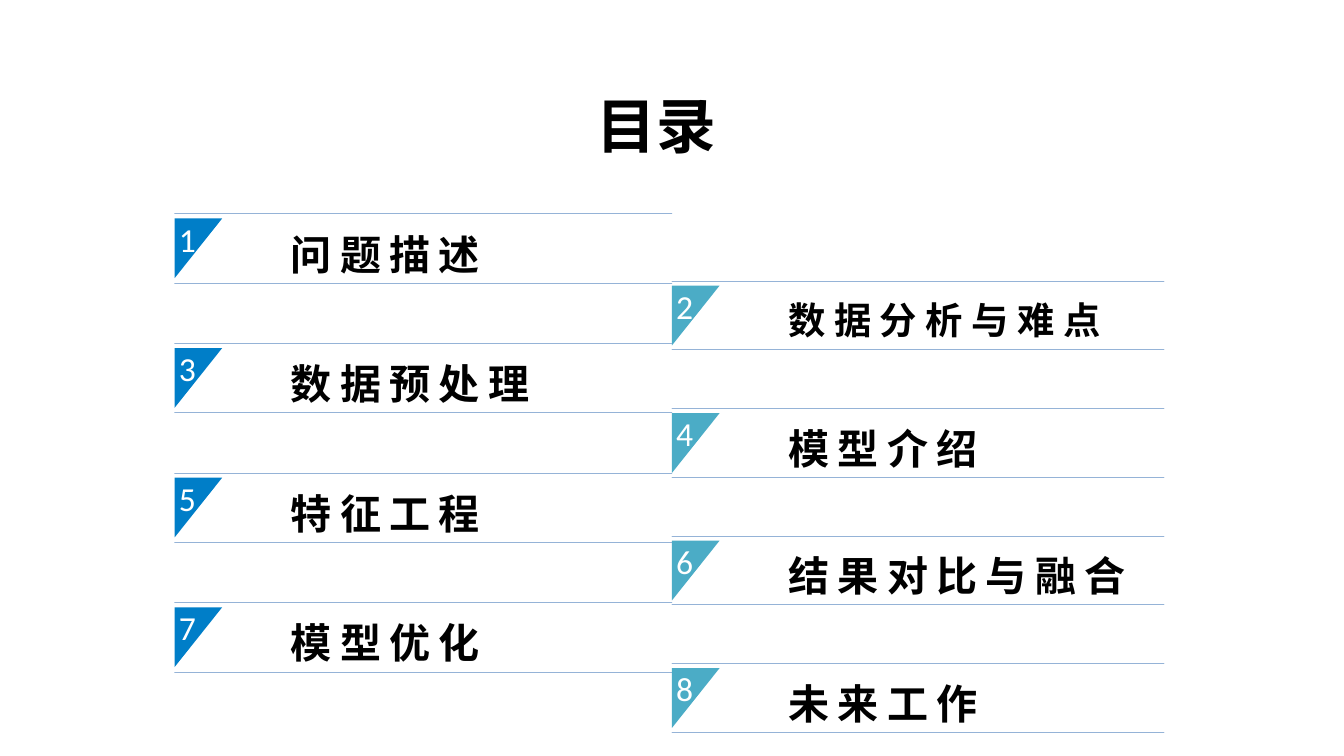
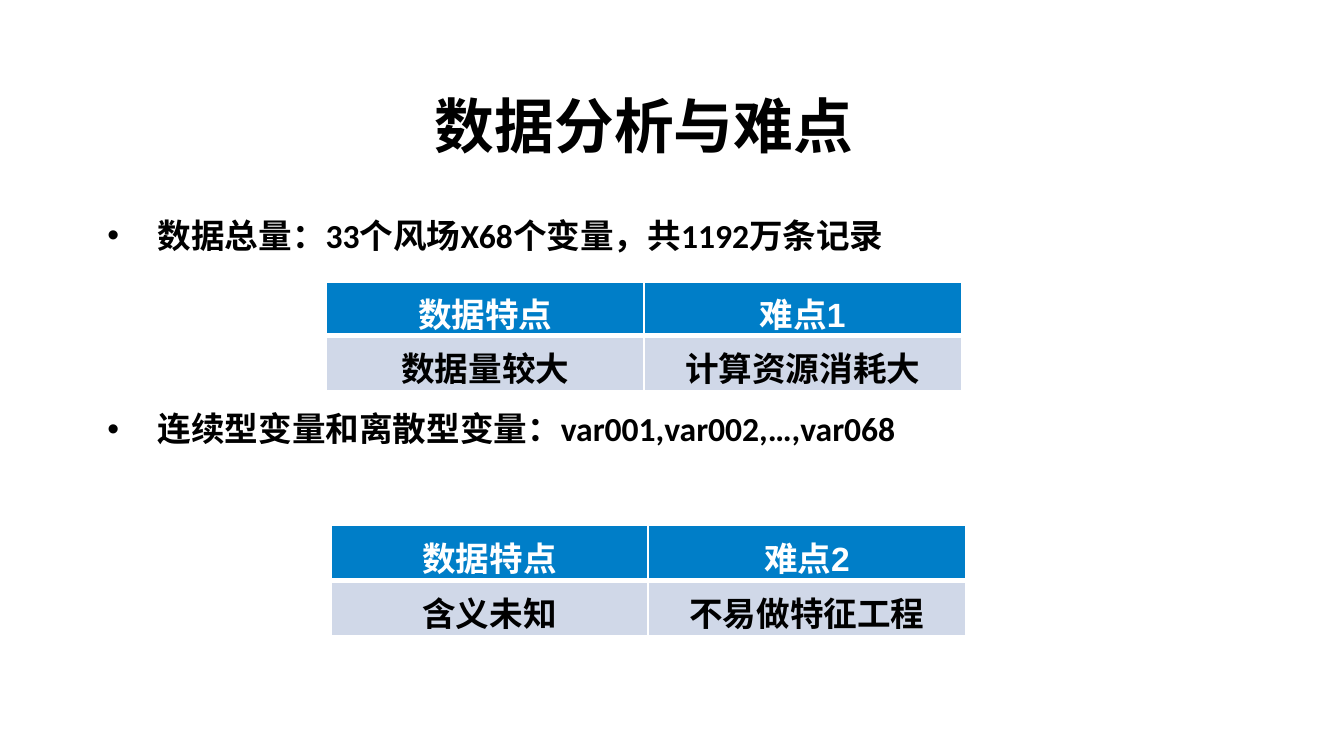
"""Builds an agenda slide and a data analysis slide."""
from lxml import etree
from pptx import Presentation
from pptx import util as u
from pptx.dml.color import RGBColor
from pptx.enum import text
from pptx.oxml import ns

COLORS = {
    "black": "000000", "white": "FFFFFF", "rule": "95B3D7",
    "blue": "007EC8", "teal": "4BACC6", "pale": "D0D8E8",
}

AGENDA_TITLE = "目录"
AGENDA = [
    ("问题描述", 22), ("数据分析与难点", 20),
    ("数据预处理", 22), ("模型介绍", 22),
    ("特征工程", 22), ("结果对比与融合", 22),
    ("模型优化", 22), ("未来工作", 22),
]
COLUMNS = [
    {"left": 3.3, "top": 4.04, "pitch": 2.45, "width": 9.4, "height": 1.31, "color": "blue"},
    {"left": 12.7, "top": 5.31, "pitch": 2.41, "width": 9.3, "height": 1.3, "color": "teal"},
]
FLAG_W, FLAG_H, FLAG_DROP = 0.9, 1.13, 0.09

DATA_TITLE = "数据分析与难点"
FACTS = [
    ("数据总量：33个风场X68个变量，共1192万条记录", 0),
    ("连续型变量和离散型变量：var001,var002,…,var068", 82),
]
TABLES = [
    (6.17, 5.33, 1, [("数据特点", "难点1"), ("数据量较大", "计算资源消耗大")]),
    (6.25, 9.93, 1.04, [("数据特点", "难点2"), ("含义未知", "不易做特征工程")]),
]
COL_W, ROW_H = 6, 1.04


def rgb(name):
    return RGBColor.from_string(COLORS[name])


def write(p, content, size, color="black", font="Calibri", bold=True, align=text.PP_ALIGN.LEFT):
    p.text = content
    p.alignment = align
    f = p.runs[0].font
    f.size, f.name, f.bold = u.Pt(size), font, bold
    f.color.rgb = rgb(color)


def set_insets(tf, left, top, right, bottom):
    tf.margin_left, tf.margin_top = u.Cm(left), u.Cm(top)
    tf.margin_right, tf.margin_bottom = u.Cm(right), u.Cm(bottom)


def add_title(s, content, left):
    tf = s.shapes.add_textbox(u.Cm(left), u.Cm(1.55), u.Cm(22.63), u.Cm(1.63)).text_frame
    tf.word_wrap = True
    tf.auto_size = text.MSO_AUTO_SIZE.SHAPE_TO_FIT_TEXT
    write(tf.paragraphs[0], content, 32, font="Arial", align=text.PP_ALIGN.CENTER)


def add_outline(s, contours):
    """Draws closed contours, given in centimetres, as one freeform."""
    paths = [[(u.Cm(x), u.Cm(y)) for x, y in contour] for contour in contours]
    fb = s.shapes.build_freeform(*paths[0][0])
    for i, points in enumerate(paths):
        if i:
            fb.move_to(*points[0])
        fb.add_line_segments(points[1:], close=True)
    sp = fb.convert_to_shape()
    sp.shadow.inherit = False
    sp.text_frame.word_wrap = True
    return sp


def add_entry(s, number, label, size, col, top):
    left, right, bottom = col["left"], col["left"] + col["width"], top + col["height"]
    sp = add_outline(s, [[(left, y), (right, y)] for y in (bottom, top)])
    sp.fill.background()
    sp.line.color.rgb, sp.line.width = rgb("rule"), u.Pt(0.25)
    tf = sp.text_frame
    tf.vertical_anchor = text.MSO_ANCHOR.MIDDLE
    set_insets(tf, 2.2, 0, 0, 0.08)
    p = tf.paragraphs[0]
    write(p, label, size)
    p.line_spacing = 1.3
    p.runs[0].font._element.set("spc", "450")

    y = top + FLAG_DROP
    sp = add_outline(s, [[(left, y), (left + FLAG_W, y), (left, y + FLAG_H)]])
    sp.fill.solid()
    sp.fill.fore_color.rgb = rgb(col["color"])
    sp.line.fill.background()
    tf = sp.text_frame
    tf.vertical_anchor = text.MSO_ANCHOR.TOP
    set_insets(tf, 0.08, 0, 0, 0.89)
    write(tf.paragraphs[0], str(number), 18, "white", bold=False)


def add_facts(s):
    tf = s.shapes.add_textbox(u.Cm(1.78), u.Cm(3.94), u.Cm(21.79), u.Cm(9.83)).text_frame
    tf.word_wrap = True
    for i, (content, gap) in enumerate(FACTS):
        p = tf.add_paragraph() if i else tf.paragraphs[0]
        write(p, content, 18)
        p.space_before = u.Pt(gap)
        pPr = p._p.get_or_add_pPr()
        pPr.set("marL", str(u.Cm(0.95)))
        pPr.set("indent", str(-u.Cm(0.95)))
        etree.SubElement(pPr, ns.qn("a:buFont"), typeface="Arial")
        etree.SubElement(pPr, ns.qn("a:buChar"), char="•")


def set_borders(cell, bottom):
    tcPr = cell._tc.get_or_add_tcPr()
    for i, (side, width) in enumerate((("L", 1), ("R", 1), ("T", 1), ("B", bottom))):
        ln = etree.Element(ns.qn(f"a:ln{side}"), w=str(u.Pt(width)))
        fill = etree.SubElement(ln, ns.qn("a:solidFill"))
        etree.SubElement(fill, ns.qn("a:srgbClr"), val=COLORS["white"])
        tcPr.insert(i, ln)


def add_data_table(s, left, top, head_h, rows):
    table = s.shapes.add_table(len(rows), 2, u.Cm(left), u.Cm(top),
                               u.Cm(2 * COL_W), u.Cm(head_h + ROW_H)).table
    table.horz_banding = False
    for col in table.columns:
        col.width = u.Cm(COL_W)
    for i, row in enumerate(rows):
        head = i == 0
        table.rows[i].height = u.Cm(head_h if head else ROW_H)
        for j, content in enumerate(row):
            cell = table.cell(i, j)
            cell.vertical_anchor = text.MSO_ANCHOR.MIDDLE
            cell.fill.solid()
            cell.fill.fore_color.rgb = rgb("blue" if head else "pale")
            set_borders(cell, 3 if head else 1)
            write(cell.text_frame.paragraphs[0], content, 18, "white" if head else "black",
                  font="Arial", align=text.PP_ALIGN.CENTER)


def main():
    prs = Presentation()
    prs.slide_width, prs.slide_height = u.Cm(25.4), u.Cm(14.29)
    blank = prs.slide_layouts[6]

    s = prs.slides.add_slide(blank)
    add_title(s, AGENDA_TITLE, 1.09)
    for i, (label, size) in enumerate(AGENDA):
        row, side = divmod(i, 2)
        col = COLUMNS[side]
        add_entry(s, i + 1, label, size, col, col["top"] + row * col["pitch"])

    s = prs.slides.add_slide(blank)
    add_facts(s)
    add_title(s, DATA_TITLE, 0.86)
    for spec_row in TABLES:
        add_data_table(s, *spec_row)

    prs.save("out.pptx")


if __name__ == "__main__":
    main()
